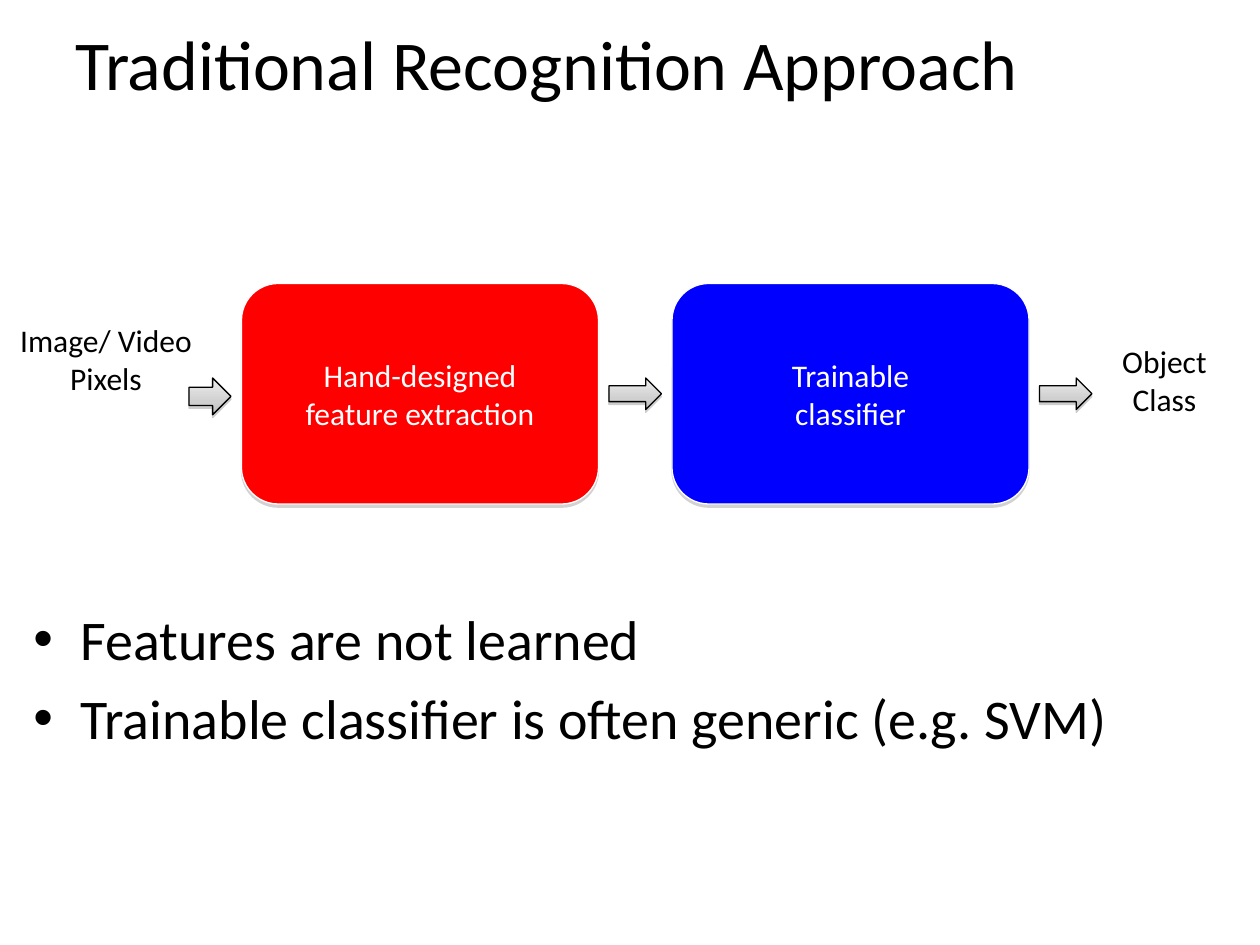
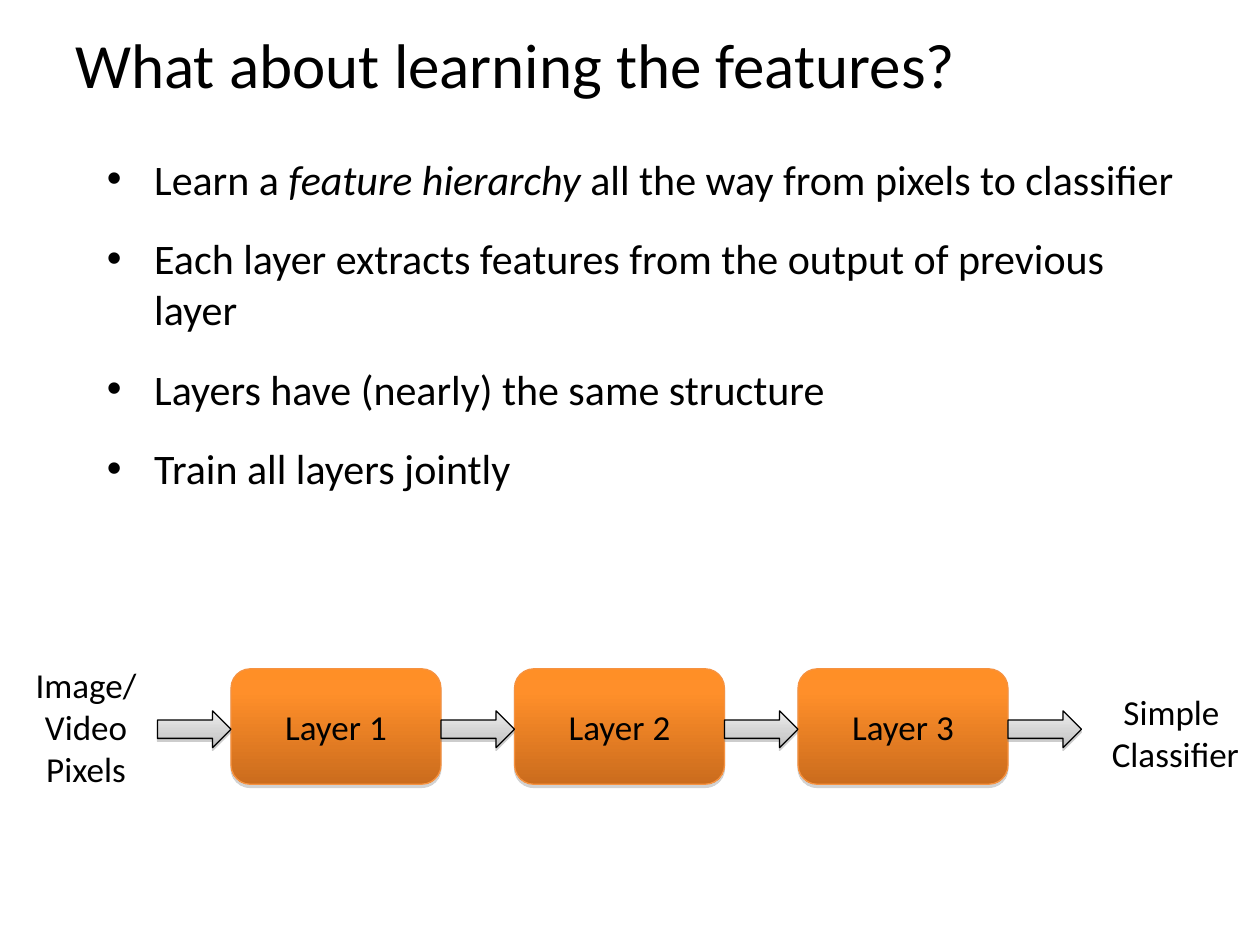
from lxml import etree
from pptx import Presentation
from pptx import util as u
from pptx.dml.color import RGBColor
from pptx.enum import shapes, text
from pptx.oxml.ns import qn

PX = 7620  # EMU, 120 px to the inch
BLACK, WHITE, RED, BLUE = "000000", "FFFFFF", "FF0000", "0000FF"
ORANGE_EDGE = "F69240"
ORANGE = ((0, "FF8F26"), (20, "FF8F2A"), (100, "CB6C1D"))
GREY = ((0, "EDEDED"), (65, "D0D0D0"), (100, "BCBCBC"))


def color(hex_string):
    return RGBColor.from_string(hex_string)


def add_element(parent, tag, **attributes):
    values = {name: str(value) for name, value in attributes.items()}
    return etree.SubElement(parent, qn(tag), values)


class Deck:
    font = "Calibri"

    def __init__(self, width, height):
        self.presentation = Presentation()
        self.presentation.slide_width = width * PX
        self.presentation.slide_height = height * PX
        self.slide = None

    def new_slide(self, title, size):
        layout = self.presentation.slide_layouts[6]
        self.slide = self.presentation.slides.add_slide(layout)
        frame = self.text_box((60, 0, 1080, 120), [title], size, centered=False)
        frame.vertical_anchor = text.MSO_ANCHOR.MIDDLE

    def fill_text(self, frame, paragraphs, size, ink=BLACK, centered=True,
                  bulleted=False, after=0):
        """Fill a frame; a paragraph is a string or a list of (text, italic) runs."""
        for index, content in enumerate(paragraphs):
            paragraph = frame.add_paragraph() if index else frame.paragraphs[0]
            paragraph.alignment = text.PP_ALIGN.CENTER if centered else text.PP_ALIGN.LEFT
            if bulleted:
                self.bullet(paragraph)
                paragraph.space_before = u.Pt(size * 0.2 if index else 0)
                paragraph.space_after = u.Pt(after)
            runs = [(content, False)] if isinstance(content, str) else content
            for words, italic in runs:
                for number, line in enumerate(words.split("\n")):
                    if number:
                        paragraph.add_line_break()
                    run = paragraph.add_run()
                    run.text = line
                    run.font.name = self.font
                    run.font.size = u.Pt(size)
                    run.font.italic = italic
                    run.font.color.rgb = color(ink)

    def bullet(self, paragraph):
        properties = paragraph._p.get_or_add_pPr()
        properties.set("marL", str(45 * PX))
        properties.set("indent", str(-45 * PX))
        add_element(properties, "a:buFont", typeface="Arial")
        add_element(properties, "a:buChar", char="•")

    def text_box(self, box, paragraphs, size, wrap=True, **style):
        frame = self.slide.shapes.add_textbox(*(n * PX for n in box)).text_frame
        frame.word_wrap = wrap
        self.fill_text(frame, paragraphs, size, **style)
        return frame

    def shape(self, kind, box, fill, edge, shadow_alpha, shadow_distance):
        """Add a preset shape; fill is a hex string or a tuple of gradient stops."""
        shape = self.slide.shapes.add_shape(kind, *(n * PX for n in box))
        if isinstance(fill, str):
            shape.fill.solid()
            shape.fill.fore_color.rgb = color(fill)
        else:
            self.gradient(shape, fill)
        shape.line.color.rgb = color(edge)
        shape.line.width = u.Pt(0.75)
        shape.shadow.inherit = False
        effects = shape._element.spPr.find(qn("a:effectLst"))
        shadow = add_element(effects, "a:outerShdw", blurRad=0,
                             dist=u.Pt(shadow_distance), dir=90 * 60000,
                             rotWithShape=0)
        tint = add_element(shadow, "a:srgbClr", val="808080")
        add_element(tint, "a:alpha", val=shadow_alpha * 1000)
        return shape

    def gradient(self, shape, stops):
        shape.fill.gradient()
        shape.fill.gradient_angle = 270
        stop_list = shape._element.spPr.find(".//" + qn("a:gsLst"))
        for stop in list(stop_list):
            stop_list.remove(stop)
        for position, hex_string in stops:
            stop = add_element(stop_list, "a:gs", pos=position * 1000)
            add_element(stop, "a:srgbClr", val=hex_string)

    def block(self, box, label, size, fill, edge, ink):
        shape = self.shape(shapes.MSO_SHAPE.ROUNDED_RECTANGLE, box, fill, edge, 35, 1.8)
        frame = shape.text_frame
        frame.word_wrap = True
        frame.vertical_anchor = text.MSO_ANCHOR.MIDDLE
        self.fill_text(frame, [label], size, ink)

    def arrow(self, *box):
        self.shape(shapes.MSO_SHAPE.RIGHT_ARROW, box, GREY, BLACK, 38, 1.6)


def traditional_slide(deck):
    deck.new_slide("Traditional Recognition Approach", 40)
    stages = (("Hand-designed\nfeature extraction", RED), ("Trainable\nclassifier", BLUE))
    deck.arrow(180, 360, 40, 35)
    for index, (label, fill) in enumerate(stages):
        offset = index * 410
        deck.block((230 + offset, 270, 340, 210), label, 18, fill, WHITE, WHITE)
        deck.arrow(580 + offset, 360, 50, 30)
    deck.text_box((-18, 300, 238, 157), ["Image/ Video", "Pixels"], 18)
    deck.text_box((1039, 320, 140, 109), ["Object\nClass"], 18, wrap=False)
    deck.text_box((20, 570, 1160, 220),
                  ["Features are not learned",
                   "Trainable classifier is often generic (e.g. SVM)"],
                  32, centered=False, bulleted=True)


def learning_slide(deck):
    deck.new_slide("What about learning the features?", 36)
    points = [
        [("Learn a ", False), ("feature hierarchy", True),
         (" all the way from pixels to classifier", False)],
        "Each layer extracts features from the output of previous layer",
        "Layers have (nearly) the same structure",
        "Train all layers jointly",
    ]
    deck.text_box((90, 140, 1050, 670), points, 24, centered=False,
                  bulleted=True, after=12)
    layers, pitch = 3, 270
    for index in range(layers):
        deck.block((220 + index * pitch, 637, 200, 110), f"Layer {index + 1}",
                   20, ORANGE, ORANGE_EDGE, BLACK)
    for index in range(layers + 1):
        deck.arrow(150 + index * pitch, 677, 70, 35)
    deck.text_box((-7, 626, 178, 133), ["Image/ Video", "Pixels"], 20)
    deck.text_box((1038, 652, 163, 92), ["Simple \nClassifier"], 20, wrap=False)


def main():
    deck = Deck(1200, 900)
    traditional_slide(deck)
    learning_slide(deck)
    deck.presentation.save("out.pptx")


if __name__ == "__main__":
    main()
